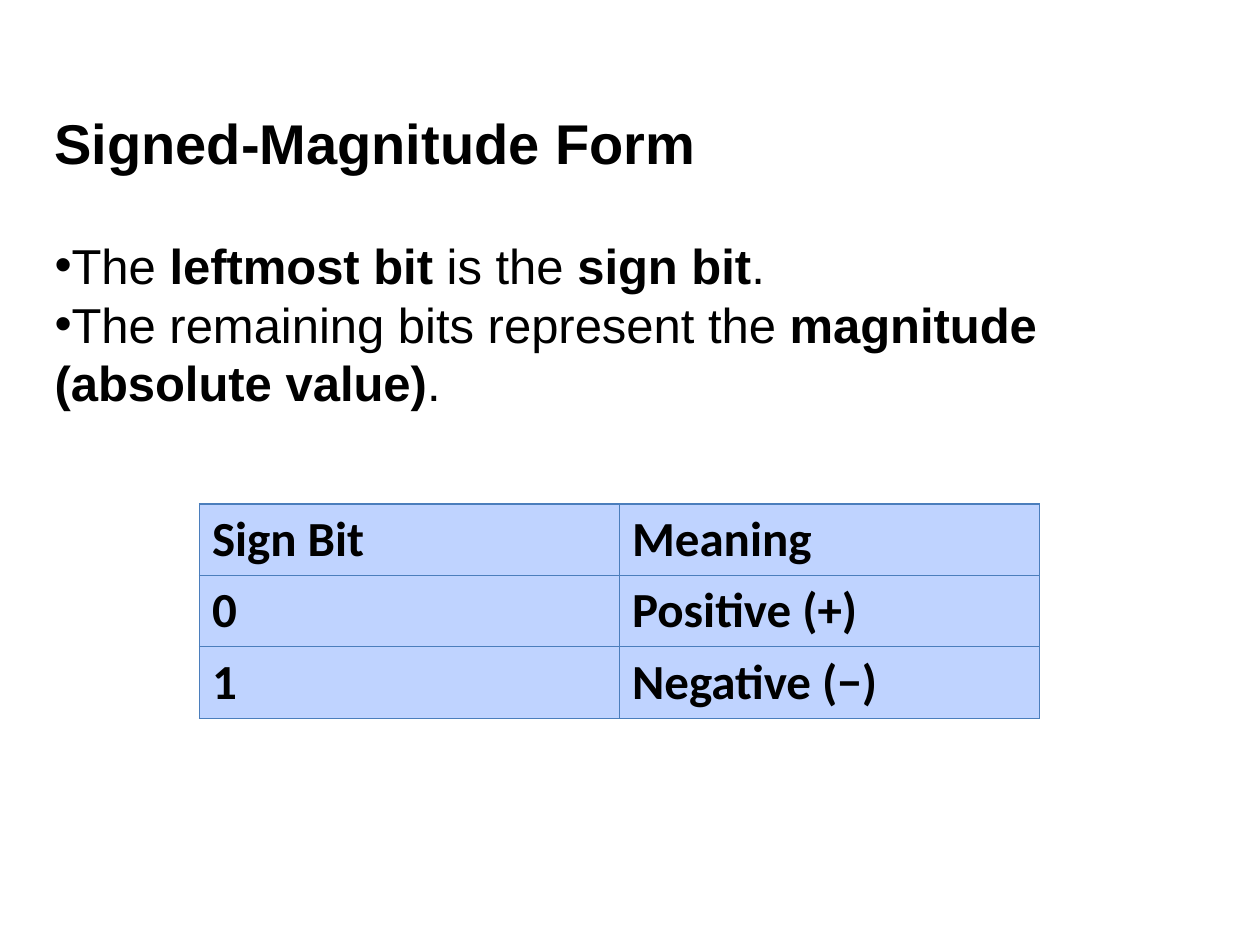
from lxml.etree import SubElement
from pptx import Presentation
from pptx.dml.color import RGBColor
from pptx.enum.text import MSO_ANCHOR
from pptx.oxml.ns import qn
from pptx.util import Cm, Pt

BLACK = RGBColor(0x00, 0x00, 0x00)
PALE_BLUE = RGBColor(0xBF, 0xD3, 0xFF)
BORDER_BLUE = RGBColor(0x4B, 0x7E, 0xBC)

TITLE = "Signed-Magnitude Form"
POINTS = [
    [("The ", False), ("leftmost bit", True), (" is the ", False),
     ("sign bit", True), (".", False)],
    [("The remaining bits represent the ", False),
     ("magnitude (absolute value)", True), (".", False)],
]
SIGN_MEANINGS = [
    ("Sign Bit", "Meaning"),
    ("0", "Positive (+)"),
    ("1", "Negative (−)"),
]

TITLE_FONT = {"name": "Arial", "size": Pt(32), "bold": True}
POINT_FONT = {"name": "Arial", "size": Pt(28)}
CELL_FONT = {"name": "Calibri", "size": Pt(28), "bold": True}
CELL_FORMAT = {"vertical_anchor": MSO_ANCHOR.MIDDLE,
               "margin_top": Cm(0.1), "margin_bottom": Cm(0.1)}
EXPLANATION_FORMAT = {"word_wrap": True, "vertical_anchor": MSO_ANCHOR.TOP,
                      "margin_top": Cm(0.29)}
COLUMN_WIDTH, ROW_HEIGHT = Cm(8.47), Cm(1.44)


def apply(target, values):
    for attribute, value in values.items():
        setattr(target, attribute, value)


def add_run(paragraph, words, font):
    run = paragraph.add_run()
    run.text = words
    apply(run.font, font)
    run.font.color.rgb = BLACK


def add_bullet(paragraph):
    properties = paragraph._p.get_or_add_pPr()
    properties.set("marL", "0")
    properties.set("indent", "0")
    SubElement(properties, qn("a:buFont")).set("typeface", "Arial")
    SubElement(properties, qn("a:buChar")).set("char", "•")


def add_borders(cell):
    properties = cell._tc.get_or_add_tcPr()
    for position, side in enumerate(("lnL", "lnR", "lnT", "lnB")):
        border = SubElement(properties, qn(f"a:{side}"), w=str(Pt(0.75)))
        fill = SubElement(border, qn("a:solidFill"))
        SubElement(fill, qn("a:srgbClr"), val=str(BORDER_BLUE))
        properties.insert(position, border)


def add_explanation(slide):
    box = slide.shapes.add_textbox(Cm(0.85), Cm(1.9), Cm(22.43), Cm(7.62))
    frame = box.text_frame
    apply(frame, EXPLANATION_FORMAT)
    add_run(frame.paragraphs[0], TITLE, TITLE_FONT)
    for index, point in enumerate(POINTS):
        paragraph = frame.add_paragraph()
        paragraph.line_spacing = Pt(33.6)
        paragraph.space_before = Pt(0 if index else 34)
        add_bullet(paragraph)
        for words, bold in point:
            add_run(paragraph, words, {**POINT_FONT, "bold": bold})


def add_sign_table(slide):
    rows, columns = len(SIGN_MEANINGS), len(SIGN_MEANINGS[0])
    table = slide.shapes.add_table(
        rows, columns, Cm(4.02), Cm(10.16),
        COLUMN_WIDTH * columns, ROW_HEIGHT * rows).table
    for row, entries in zip(table.rows, SIGN_MEANINGS):
        row.height = ROW_HEIGHT
        for cell, words in zip(row.cells, entries):
            apply(cell, CELL_FORMAT)
            cell.fill.solid()
            cell.fill.fore_color.rgb = PALE_BLUE
            add_borders(cell)
            add_run(cell.text_frame.paragraphs[0], words, CELL_FONT)


def main():
    presentation = Presentation()
    presentation.slide_width = Cm(25.4)
    presentation.slide_height = Cm(19.05)
    slide = presentation.slides.add_slide(presentation.slide_layouts[6])
    add_sign_table(slide)
    add_explanation(slide)
    presentation.save("out.pptx")


if __name__ == "__main__":
    main()
